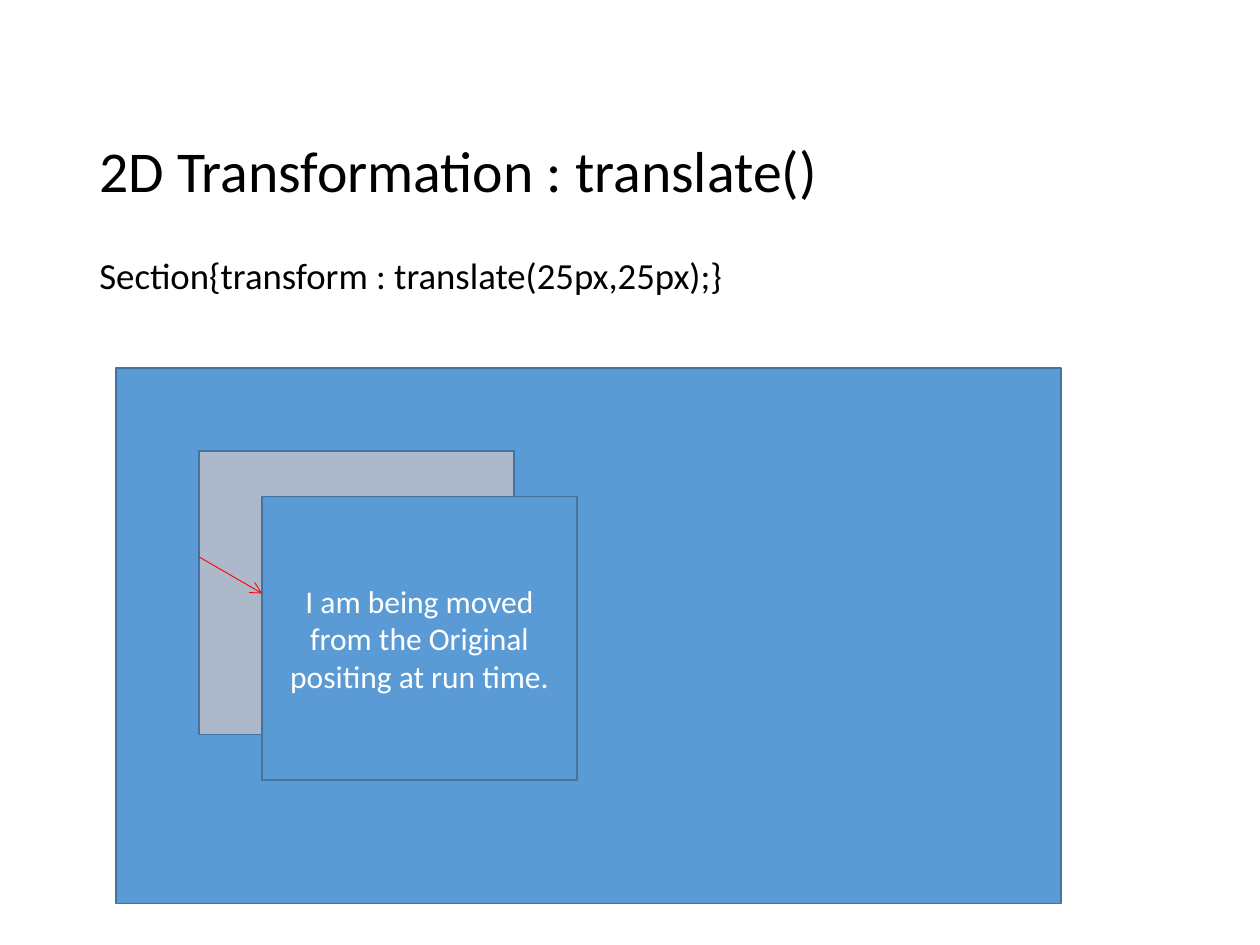
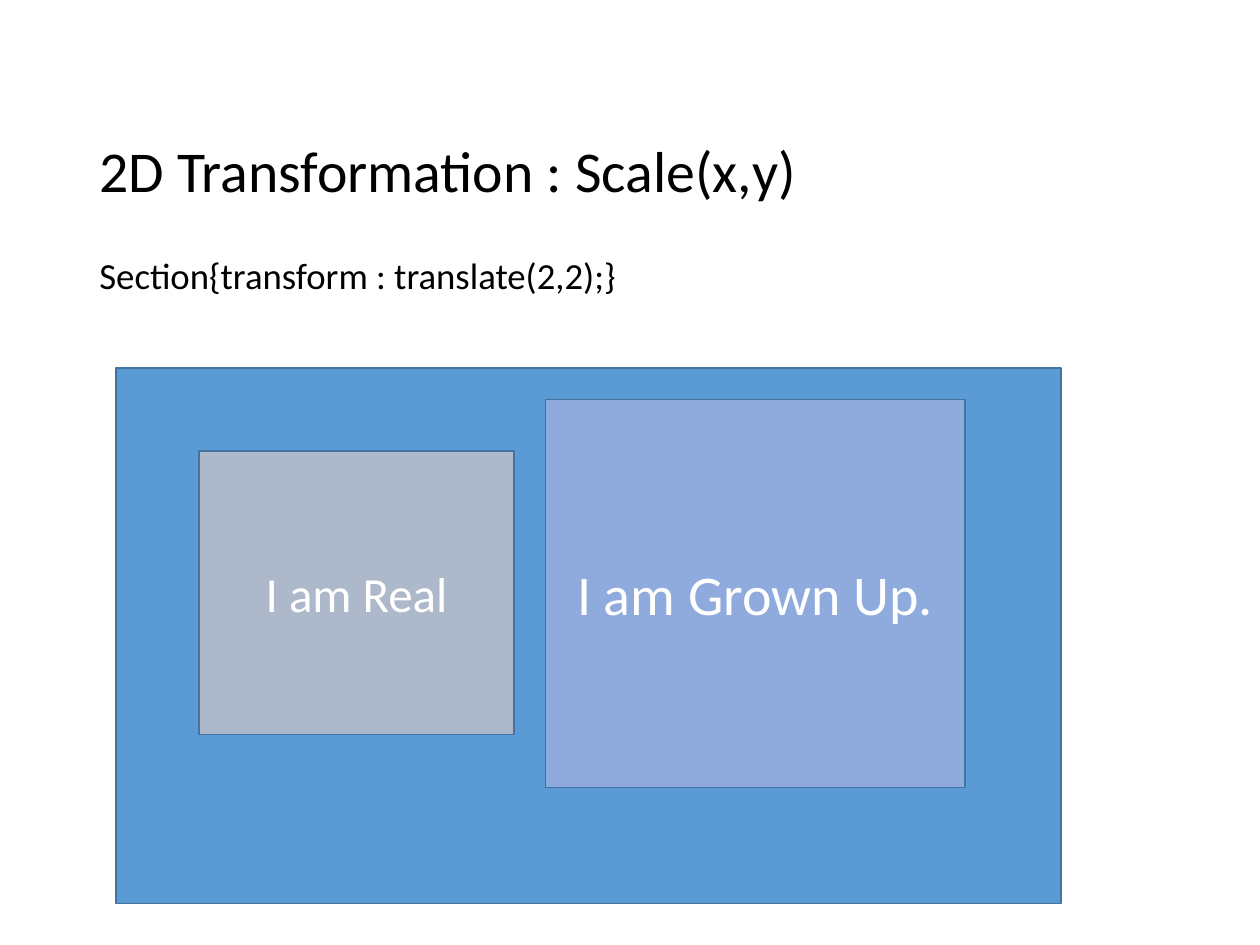
from lxml.etree import SubElement
from pptx import Presentation
from pptx.dml.color import RGBColor
from pptx.enum.shapes import MSO_CONNECTOR, MSO_SHAPE
from pptx.enum.text import MSO_ANCHOR, PP_ALIGN
from pptx.oxml.ns import qn
from pptx.util import Inches, Pt

# Shared look
FONT = "Calibri"
BLACK = RGBColor(0x00, 0x00, 0x00)
WHITE = RGBColor(0xFF, 0xFF, 0xFF)
BLUE = RGBColor(0x5B, 0x9B, 0xD5)
BLUE_EDGE = RGBColor(0x43, 0x73, 0x9E)
GREY_BLUE = RGBColor(0xAD, 0xB9, 0xCA)
PERIWINKLE = RGBColor(0x8F, 0xAA, 0xDC)
RED = RGBColor(0xFF, 0x00, 0x00)

# Shared places: left, top, width, height in inches
TITLE_BOX = (0.69, 0.4, 8.62, 1.45)
CODE_BOX = (0.69, 2, 8.62, 4.76)
STAGE = (0.92, 2.92, 7.5, 4.25)
START_SECTION = (1.58, 3.58, 2.5, 2.25)


def write(frame, text, *, size, color=BLACK, align=PP_ALIGN.LEFT,
          anchor=MSO_ANCHOR.TOP, line_spacing=1.0, space_before=0):
    frame.word_wrap = True
    frame.vertical_anchor = anchor
    paragraph = frame.paragraphs[0]
    paragraph.alignment = align
    paragraph.line_spacing = line_spacing
    paragraph.space_before = Pt(space_before)
    run = paragraph.add_run()
    run.text = text
    run.font.name = FONT
    run.font.size = Pt(size)
    run.font.color.rgb = color


def add_text(slide, box, text, margin_top=0.05, **style):
    frame = slide.shapes.add_textbox(*map(Inches, box)).text_frame
    frame.margin_top = Inches(margin_top)
    write(frame, text, line_spacing=0.9, **style)


def add_section(group, box, fill, label=None, size=18):
    section = group.shapes.add_shape(MSO_SHAPE.RECTANGLE, *map(Inches, box))
    section.shadow.inherit = False
    section.fill.solid()
    section.fill.fore_color.rgb = fill
    section.line.color.rgb = BLUE_EDGE
    section.line.width = Pt(1)
    if label:
        write(section.text_frame, label, size=size, color=WHITE,
              align=PP_ALIGN.CENTER, anchor=MSO_ANCHOR.MIDDLE)


def add_arrow(slide, start, end):
    arrow = slide.shapes.add_connector(
        MSO_CONNECTOR.STRAIGHT, *map(Inches, start + end))
    arrow.line.color.rgb = RED
    arrow.line.width = Pt(0.5)
    SubElement(arrow.line._get_or_add_ln(), qn("a:tailEnd"), type="arrow")
    SubElement(arrow._element.spPr, qn("a:effectLst"))


def add_demo_slide(prs, function, code):
    """Add title, code line and stage; return the slide and its demo group."""
    slide = prs.slides.add_slide(prs.slide_layouts[6])
    # The deep top margin sets the title low in its box
    add_text(slide, TITLE_BOX, f"2D Transformation : {function}",
             margin_top=0.55, size=33, anchor=MSO_ANCHOR.MIDDLE)
    add_text(slide, CODE_BOX, code, size=21, space_before=7.5)
    demo = slide.shapes.add_group_shape()
    add_section(demo, STAGE, BLUE)
    return slide, demo


def build_translate(prs):
    slide, demo = add_demo_slide(
        prs, "translate()", "Section{transform : translate(25px,25px);}")
    left, top, width, height = START_SECTION
    shift_x, shift_y = 0.5, 0.36
    add_section(demo, START_SECTION, GREY_BLUE)
    add_section(demo, (left + shift_x, top + shift_y, width, height), BLUE,
                "I am being moved from the Original positing at run time.")
    add_arrow(slide, (left, 4.42), (left + shift_x, 4.71))


def build_scale(prs):
    _, demo = add_demo_slide(
        prs, "Scale(x,y)", "Section{transform : translate(2,2);}")
    add_section(demo, START_SECTION, GREY_BLUE, "I am Real", size=28)
    add_section(demo, (4.33, 3.17, 3.33, 3.08), PERIWINKLE,
                "I am Grown Up.", size=32)


def main():
    prs = Presentation()
    prs.slide_width = Inches(10)
    prs.slide_height = Inches(7.5)
    build_translate(prs)
    build_scale(prs)
    prs.save("out.pptx")


if __name__ == "__main__":
    main()
